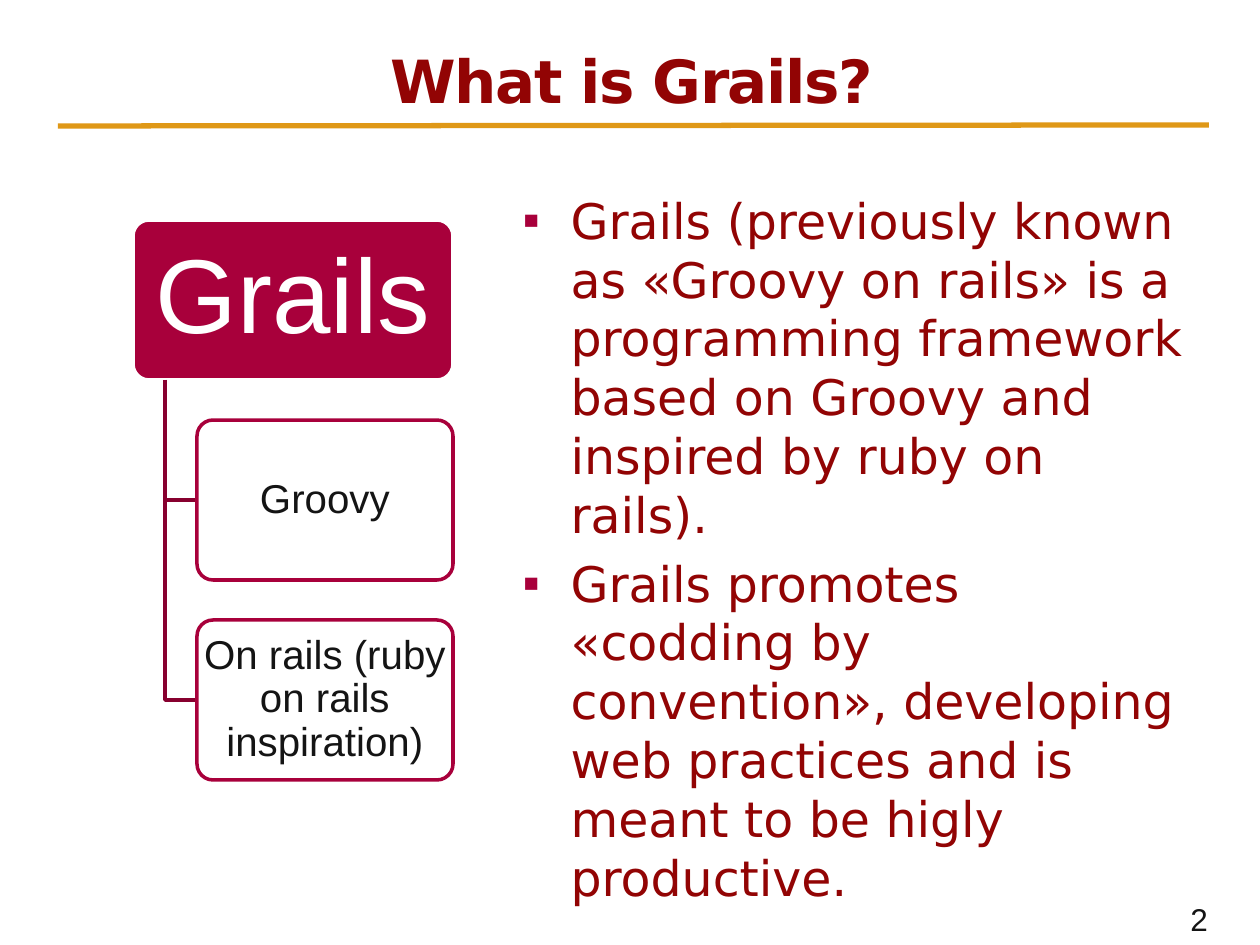
from dataclasses import dataclass

from lxml import etree
from pptx import Presentation
from pptx.dml.color import RGBColor
from pptx.enum.shapes import MSO_CONNECTOR, MSO_SHAPE
from pptx.enum.text import MSO_ANCHOR, MSO_AUTO_SIZE, PP_ALIGN
from pptx.oxml.ns import qn
from pptx.util import Pt

SCALE = 914400 // 126
CENTER, LEFT = PP_ALIGN.CENTER, PP_ALIGN.LEFT
TOP, MIDDLE = MSO_ANCHOR.TOP, MSO_ANCHOR.MIDDLE
NO_AUTOFIT = MSO_AUTO_SIZE.NONE
ROUNDED, STRAIGHT = MSO_SHAPE.ROUNDED_RECTANGLE, MSO_CONNECTOR.STRAIGHT
HEADING_FONT, DIAGRAM_FONT = "DejaVu Sans", "Arial"
CRIMSON, DARK_CRIMSON, DARK_RED = "A8003B", "87002F", "920404"
GOLD, WHITE, BLACK = "DF9817", "FFFFFF", "141414"


@dataclass(frozen=True)
class Node:
    text: str
    left: int
    top: int
    width: int
    size: int
    fill: str
    line: str
    color: str
    opacity: int = 100


NODE_HEIGHT = 160
NODE_PITCH = 200
NODE_INSET = 2
TRUNK_LEFT = 165
BRANCH_LEFT = 197
ROOT = Node("Grails", 133, 220, 320, 60, CRIMSON, WHITE, WHITE)
BRANCHES = [
    Node(text, BRANCH_LEFT, ROOT.top + NODE_PITCH * index, 256, 23,
         WHITE, CRIMSON, BLACK, 90)
    for index, text in enumerate(["Groovy", "On rails (ruby on rails inspiration)"], 1)
]
POINTS = [
    "Grails (previously known as «Groovy on rails» is a programming framework "
    "based on Groovy and inspired by ruby on rails).",
    "Grails promotes «codding by convention», developing web practices and is "
    "meant to be higly productive.",
]


def px(value: int) -> int:
    return value * SCALE


def rgb(value: str) -> RGBColor:
    return RGBColor.from_string(value)


def place(shape, left: int, top: int, width: int, height: int) -> None:
    shape.left, shape.top = px(left), px(top)
    shape.width, shape.height = px(width), px(height)


def set_line(shape, color: str, width: int) -> None:
    shape.line.color.rgb = rgb(color)
    shape.line.width = Pt(width)


def write(paragraph, text: str, *, size: int, color: str, font: str,
          align=LEFT, bold: bool = False, spacing: int = 0,
          before: float = 0, line_spacing: float = 1.0) -> None:
    paragraph.alignment = align
    paragraph.space_before = Pt(before)
    paragraph.line_spacing = line_spacing
    run = paragraph.add_run()
    run.text = text
    run.font.size = Pt(size)
    run.font.name = font
    run.font.bold = bold
    run.font.color.rgb = rgb(color)
    if spacing:
        run.font._element.set("spc", str(spacing))


def add_bullet(paragraph, character: str, color: str, indent: int) -> None:
    properties = paragraph._p.get_or_add_pPr()
    properties.set("marL", str(px(indent)))
    properties.set("indent", str(-px(indent)))
    bullet_color = etree.SubElement(properties, qn("a:buClr"))
    etree.SubElement(bullet_color, qn("a:srgbClr"), val=color)
    etree.SubElement(properties, qn("a:buChar"), char=character)


def add_node(slide, node: Node) -> None:
    shape = slide.shapes.add_shape(
        ROUNDED, px(node.left), px(node.top), px(node.width), px(NODE_HEIGHT))
    shape.shadow.inherit = False
    shape.adjustments[0] = 0.1
    shape.fill.solid()
    shape.fill.fore_color.rgb = rgb(node.fill)
    if node.opacity < 100:
        fill = shape._element.spPr.find(qn("a:solidFill"))
        etree.SubElement(fill[0], qn("a:alpha"), val=str(node.opacity * 1000))
    set_line(shape, node.line, 2)
    frame = shape.text_frame
    frame.word_wrap = True
    frame.vertical_anchor = MIDDLE
    frame.margin_left = frame.margin_right = px(NODE_INSET)
    frame.margin_top = frame.margin_bottom = px(NODE_INSET)
    write(frame.paragraphs[0], node.text, size=node.size, color=node.color,
          font=DIAGRAM_FONT, align=CENTER, line_spacing=0.9)


def add_elbow(slide, node: Node) -> None:
    middle = node.top + NODE_HEIGHT // 2
    builder = slide.shapes.build_freeform(
        px(TRUNK_LEFT), px(ROOT.top + NODE_HEIGHT))
    builder.add_line_segments(
        [(px(TRUNK_LEFT), px(middle)), (px(BRANCH_LEFT), px(middle))], close=False)
    elbow = builder.convert_to_shape()
    elbow.shadow.inherit = False
    elbow.fill.background()
    set_line(elbow, DARK_CRIMSON, 2)


def add_rule(slide) -> None:
    rule = slide.shapes.add_connector(STRAIGHT, px(58), px(126), px(1209), px(125))
    set_line(rule, GOLD, 3)
    etree.SubElement(rule._element.spPr, qn("a:effectLst"))


def add_page_number(slide) -> None:
    box = slide.shapes.add_textbox(px(1178), px(894), px(82), px(50))
    box.text_frame.word_wrap = False
    write(box.text_frame.paragraphs[0], "2", size=18, color=BLACK, font=DIAGRAM_FONT)


def fill_title(title) -> None:
    place(title, 59, 38, 1146, 61)
    frame = title.text_frame
    frame.auto_size = NO_AUTOFIT
    frame.vertical_anchor = TOP
    write(frame.paragraphs[0], "What is Grails?", size=34, color=DARK_RED,
          font=HEADING_FONT, align=CENTER, bold=True, spacing=-80)


def fill_body(body) -> None:
    place(body, 510, 184, 694, 692)
    frame = body.text_frame
    frame.auto_size = NO_AUTOFIT
    frame.vertical_anchor = TOP
    for index, text in enumerate(POINTS):
        paragraph = frame.add_paragraph() if index else frame.paragraphs[0]
        write(paragraph, text, size=28, color=DARK_RED, font=HEADING_FONT, before=5.6)
        add_bullet(paragraph, "▪", CRIMSON, 48)


def main() -> None:
    presentation = Presentation()
    presentation.slide_width, presentation.slide_height = px(1260), px(945)
    slide = presentation.slides.add_slide(presentation.slide_layouts[1])
    add_rule(slide)
    add_page_number(slide)
    fill_title(slide.shapes.title)
    add_node(slide, ROOT)
    for branch in BRANCHES:
        add_elbow(slide, branch)
        add_node(slide, branch)
    fill_body(slide.placeholders[1])
    presentation.save("out.pptx")


main()
